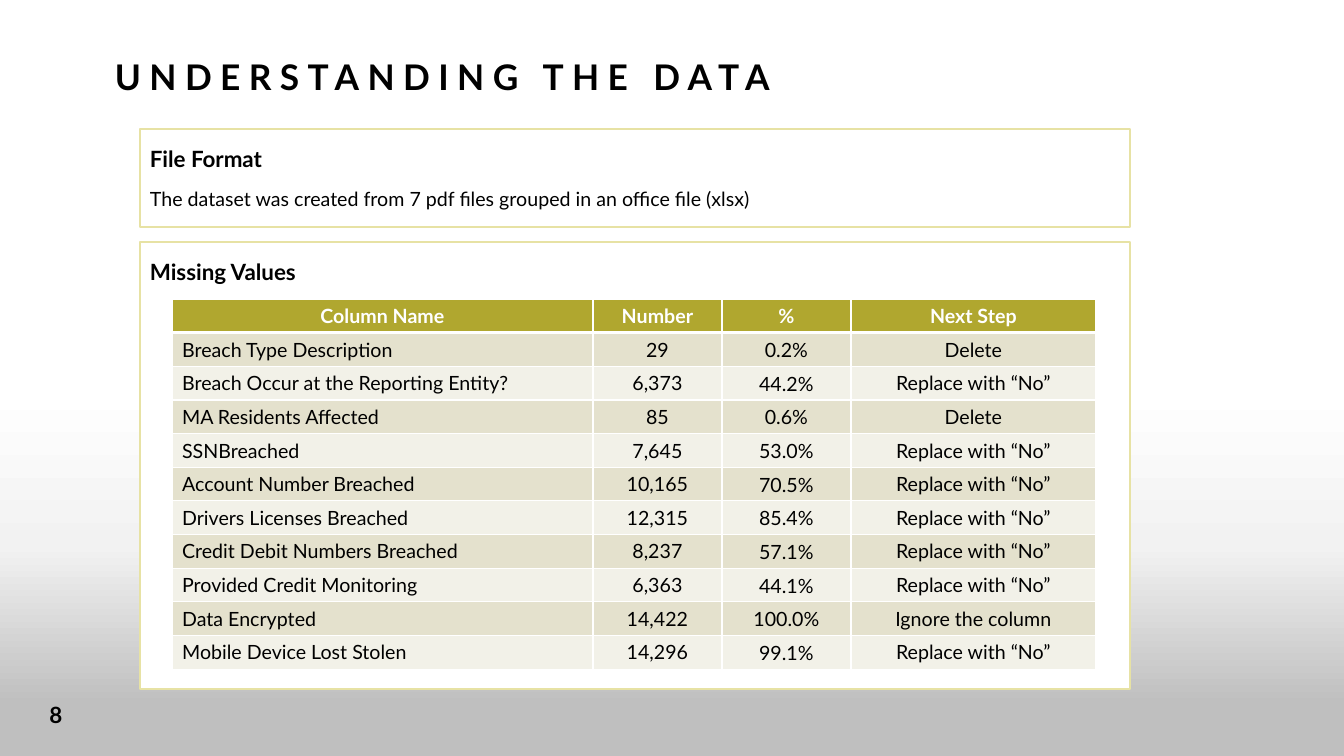
from copy import deepcopy

from lxml import etree
from pptx import Presentation
from pptx.dml.color import RGBColor
from pptx.enum.shapes import MSO_SHAPE
from pptx.enum.text import MSO_ANCHOR, PP_ALIGN
from pptx.oxml.ns import qn
from pptx.util import Pt

RECTANGLE = MSO_SHAPE.RECTANGLE
TOP, MIDDLE, BOTTOM = MSO_ANCHOR.TOP, MSO_ANCHOR.MIDDLE, MSO_ANCHOR.BOTTOM
LEFT, CENTER = PP_ALIGN.LEFT, PP_ALIGN.CENTER
EMU_PER_PX = 914400 / 100.8
BLACK, WHITE = "000000", "FFFFFF"
HEADER_FILL, ROW_FILLS, BOX_LINE = "B0A72F", ("E4E1CD", "F2F1E8"), "E7E2A4"


def px(*lengths):
    return [round(length * EMU_PER_PX) for length in lengths]


def add_text(paragraph, text, size, bold=False, color=BLACK, align=LEFT):
    paragraph.alignment = align
    run = paragraph.add_run()
    run.text = text
    run.font.name = "Lato"
    run.font.size = Pt(size)
    run.font.bold = bold
    run.font.color.rgb = RGBColor.from_string(color)
    return run


presentation = Presentation()
presentation.slide_width, presentation.slide_height = px(1344, 756)
slide = presentation.slides.add_slide(presentation.slide_layouts[6])
shapes = slide.shapes

backdrop = shapes.add_shape(RECTANGLE, *px(0, 387, 1344, 369))
backdrop.shadow.inherit = False
backdrop.line.fill.background()
backdrop.fill.gradient()
backdrop.fill.gradient_angle = 90
stop_list = backdrop.element.xpath(".//a:gsLst")[0]
stop_list.append(deepcopy(stop_list[0]))
gradient = ((0.14, "BFBFBF"), (0.57, "F2F2F2"), (1, WHITE))
for stop, (position, color) in zip(backdrop.fill.gradient_stops, gradient):
    stop.position = position
    stop.color.rgb = RGBColor.from_string(color)

title = shapes.add_textbox(*px(105, 56, 718, 47)).text_frame
title.word_wrap = True
title.vertical_anchor = BOTTOM
title.paragraphs[0].line_spacing = 1.2
title_run = add_text(title.paragraphs[0], "UNDERSTANDING THE DATA", 25.2, True)
title_run.font._element.set("spc", "600")

boxes = (
    ("Missing Values", 242, 447, TOP, 16),
    ("File Format", 129, 98, MIDDLE, 5),
)
for heading, top, height, anchor, inset in boxes:
    box = shapes.add_shape(RECTANGLE, *px(140, top, 990, height))
    box.shadow.inherit = False
    box.fill.solid()
    box.fill.fore_color.rgb = RGBColor.from_string(WHITE)
    box.line.color.rgb = RGBColor.from_string(BOX_LINE)
    box.line.width = Pt(1)
    frame = box.text_frame
    frame.word_wrap = True
    frame.vertical_anchor = anchor
    frame.margin_top = px(inset)[0]
    add_text(frame.paragraphs[0], heading, 16, True)

detail = frame.add_paragraph()
detail.space_before = Pt(10.8)
add_text(detail, "The dataset was created from 7 pdf files grouped in an office file (xlsx)", 14)

REPLACE = "Replace with “No”"
rows = (
    ("Column Name", "Number", "%", "Next Step"),
    ("Breach Type Description", "29", "0.2%", "Delete"),
    ("Breach Occur at the Reporting Entity?", "6,373", "44.2%", REPLACE),
    ("MA Residents Affected", "85", "0.6%", "Delete"),
    ("SSNBreached", "7,645", "53.0%", REPLACE),
    ("Account Number Breached", "10,165", "70.5%", REPLACE),
    ("Drivers Licenses Breached", "12,315", "85.4%", REPLACE),
    ("Credit Debit Numbers Breached", "8,237", "57.1%", REPLACE),
    ("Provided Credit Monitoring", "6,363", "44.1%", REPLACE),
    ("Data Encrypted", "14,422", "100.0%", "Ignore the column"),
    ("Mobile Device Lost Stolen", "14,296", "99.1%", REPLACE),
)
column_widths = px(421, 129, 129, 245)
row_height = px(33)[0]
table = shapes.add_table(
    len(rows), len(column_widths), *px(172, 299), sum(column_widths), row_height * len(rows)
).table
for column, width in zip(table.columns, column_widths):
    column.width = width

for row_index, values in enumerate(rows):
    table.rows[row_index].height = row_height
    is_header = row_index == 0
    fill = HEADER_FILL if is_header else ROW_FILLS[(row_index - 1) % 2]
    border_widths = {
        "lnL": 1,
        "lnR": 1,
        "lnT": 3 if row_index == 1 else 1,
        "lnB": 3 if is_header else 1,
    }
    for column_index, value in enumerate(values):
        cell = table.cell(row_index, column_index)
        cell.vertical_anchor = MIDDLE
        if column_index == 2 and not is_header:
            cell.margin_left, cell.margin_top, cell.margin_right, cell.margin_bottom = px(1, 1, 1, 0)
        properties = cell._tc.get_or_add_tcPr()
        for side, width in border_widths.items():
            border = etree.SubElement(properties, qn("a:" + side), w=str(Pt(width)))
            border_fill = etree.SubElement(border, qn("a:solidFill"))
            etree.SubElement(border_fill, qn("a:srgbClr"), val=WHITE)
        cell.fill.solid()
        cell.fill.fore_color.rgb = RGBColor.from_string(fill)
        align = CENTER if is_header or column_index else LEFT
        color = WHITE if is_header else BLACK
        add_text(cell.text_frame.paragraphs[0], value, 14, is_header, color, align)

page_number = shapes.add_textbox(*px(27, 695, 58, 40)).text_frame
page_number.word_wrap = True
page_number.vertical_anchor = MIDDLE
add_text(page_number.paragraphs[0], "8", 16, True, align=CENTER)

presentation.save("out.pptx")
